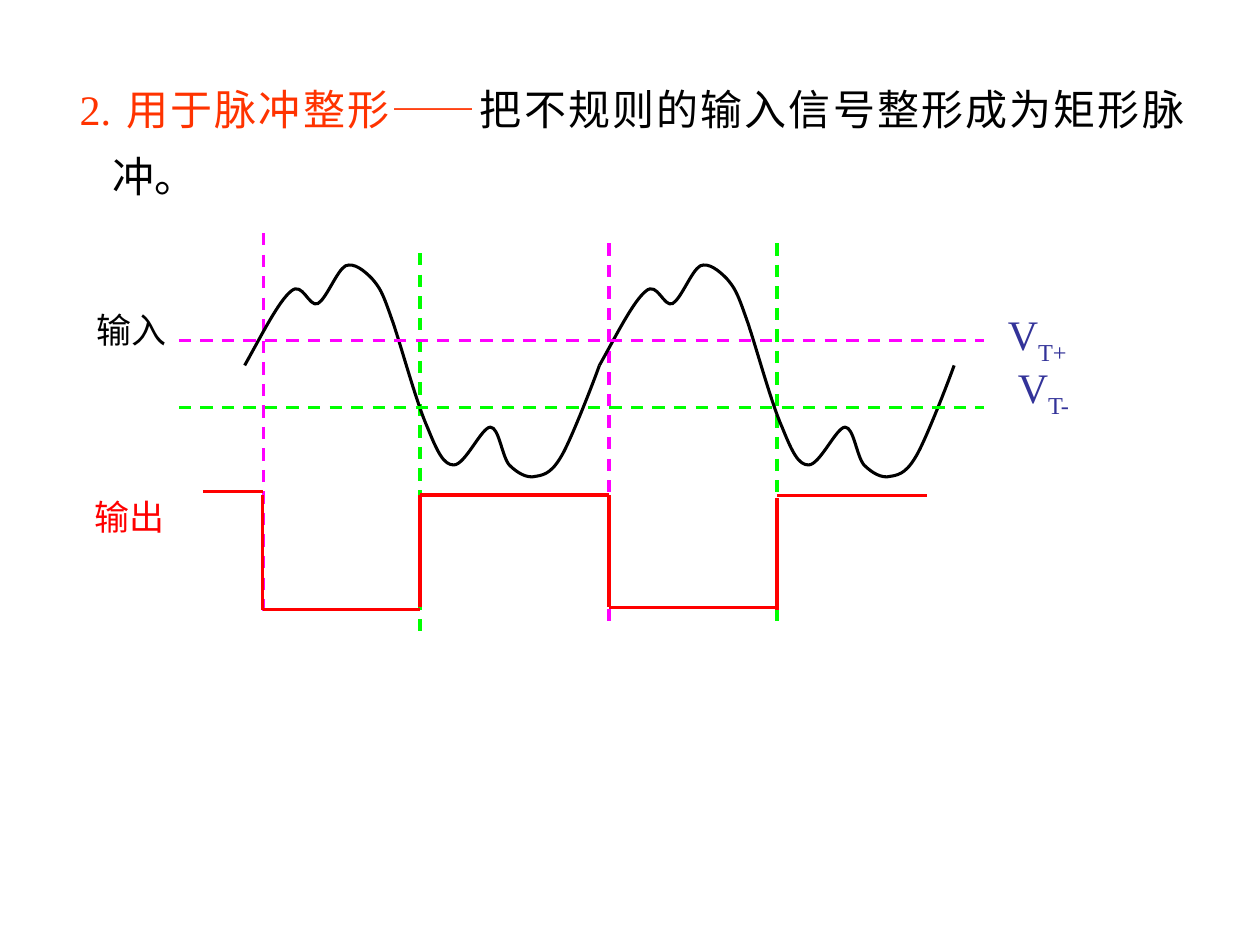
from pptx import Presentation
from pptx import util as u
from pptx.dml.color import RGBColor
from pptx.enum import dml, shapes, text
from pptx.oxml import parse_xml
from pptx.oxml.ns import nsdecls, qn

BLACK = RGBColor(0, 0, 0)
RED = RGBColor(255, 0, 0)
ORANGE = RGBColor(255, 51, 0)
PINK = RGBColor(255, 0, 255)
GREEN = RGBColor(0, 255, 0)
BLUE = RGBColor(51, 51, 153)

ROMAN = "Times New Roman"
LEFT, PERIOD, GRAIN = 139.8, 202.7, 100
START = (0, 208.8)
CURVES = [
    ((10.1, 190.8), (19.4, 172.1), (26.6, 166.3)),
    ((33.1, 160.6), (36.7, 175.7), (41.8, 173.5)),
    ((46.8, 170.6), (52.6, 154.8), (57.6, 151.9)),
    ((62.6, 149.8), (68.4, 154.8), (72.7, 159.1)),
    ((77, 164.2), (78.5, 166.3), (83.5, 180.7)),
    ((88.6, 194.4), (97.9, 229.7), (104.4, 244.1)),
    ((110.2, 258.5), (113.8, 265.7), (119.5, 265.7)),
    ((126, 265.7), (135.4, 244.1), (140.4, 244.1)),
    ((145.4, 244.1), (146.9, 260.6), (151.2, 265.7)),
    ((155.5, 270), (161.3, 273.6), (166.3, 272.2)),
    ((172.1, 271.4), (176.4, 269.3), (182.2, 258.5)),
    ((187.9, 247.7), (199.4, 218.2), (202.7, 208.8)),
]


def apply(item, values):
    for name, value in values.items():
        setattr(item, name, value)


def add_line(slide, start, end, color, width=1.75, dash=False):
    line = slide.shapes.add_connector(
        shapes.MSO_CONNECTOR.STRAIGHT, *map(u.Pt, (*start, *end)))
    line.line.fill.solid()
    line.line.fill.fore_color.rgb = color
    line.line.width = u.Pt(width)
    if dash:
        line.line.dash_style = dml.MSO_LINE.DASH
    line._element.spPr.append(parse_xml(f"<a:effectLst {nsdecls('a')}/>"))


def add_text(slide, place, runs, spacing=1.31):
    frame = slide.shapes.add_textbox(*map(u.Pt, place)).text_frame
    frame.word_wrap = True
    para = frame.paragraphs[0]
    apply(para, {"alignment": text.PP_ALIGN.JUSTIFY, "line_spacing": spacing})
    props = para._p.get_or_add_pPr()
    props.set("marL", str(u.Pt(27)))
    props.set("indent", str(u.Pt(-27)))
    props.set("hangingPunct", "0")
    for words, size, color, style in runs:
        run = para.add_run()
        run.text = words
        apply(run.font, {"name": ROMAN, "size": u.Pt(size), "bold": False})
        run.font.color.rgb = color
        apply(run.font, style)
    return para


def add_level(slide, place, sign):
    para = add_text(slide, place, [("V", 24, BLUE, {}), (sign, 24, BLUE, {})])
    para.runs[1].font._element.set("baseline", "-25000")


def round_off(shape):
    steps = list(shape._element.iter(qn("a:lnTo")))
    for i in range(0, len(steps), 3):
        curve = parse_xml(f"<a:cubicBezTo {nsdecls('a')}/>")
        steps[i].addprevious(curve)
        for step in steps[i:i + 3]:
            curve.append(step[0])
            step.getparent().remove(step)


def add_wave(slide, left):
    dots = [((left + x) * GRAIN, y * GRAIN)
            for x, y in [START, *(dot for curve in CURVES for dot in curve)]]
    build = slide.shapes.build_freeform(*dots[0], scale=u.Pt(1) / GRAIN)
    build.add_line_segments(dots[1:], close=False)
    wave = build.convert_to_shape()
    round_off(wave)
    wave.shadow.inherit = False
    wave.fill.background()
    wave.line.color.rgb = BLACK
    wave.line.width = u.Pt(1.75)


def add_pulse(slide):
    for start, end, width in [
        ((115.9, 280.8), (150.5, 280.8), 2),
        ((150.1, 348.5), (150.1, 283), 2),
        ((150.1, 348.5), (240, 348.5), 1.75),
        ((240, 347), (240, 283), 1.75),
        ((240, 283), (348, 283), 2),
        ((348, 347), (348, 283), 2),
        ((348, 347), (444, 347), 1.75),
        ((444, 348.5), (444, 284.4), 1.75),
        ((444, 283), (530, 283), 1.75),
    ]:
        add_line(slide, start, end, RED, width)


def main():
    deck = Presentation()
    apply(deck, {"slide_width": u.Pt(720), "slide_height": u.Pt(540)})
    slide = deck.slides.add_slide(deck.slide_layouts[6])
    add_text(slide, (30.2, 30.2, 653.8, 90), [
        (" ", 28, BLACK, {"bold": True}),
        ("2. 用于脉冲整形——", 24, ORANGE, {}),
        ("把不规则的输入信号整形成为矩形脉冲。", 24, BLACK, {"name": "Cabin"}),
    ], 1.3)
    for x, top, color in [(150.4, 133.2, PINK), (240, 144.7, GREEN),
                          (444, 139, GREEN), (348, 139, PINK)]:
        add_line(slide, (x, top), (x, top + 216), color, dash=True)
    add_pulse(slide)
    for i in range(2):
        add_wave(slide, LEFT + i * PERIOD)
    for y, color in [(194.6, PINK), (232.8, GREEN)]:
        add_line(slide, (102.2, y), (562.3, y), color, dash=True)
    add_text(slide, (48.2, 165.6, 67.7, 72), [("输入", 20, BLACK, {})])
    add_text(slide, (46.8, 272.2, 62.6, 73.4), [("输出", 20, RED, {})])
    add_level(slide, (568.8, 162.7, 67.7, 72), "T+")
    add_level(slide, (574.6, 193, 67.7, 72), "T-")
    deck.save("out.pptx")


if __name__ == "__main__":
    main()
